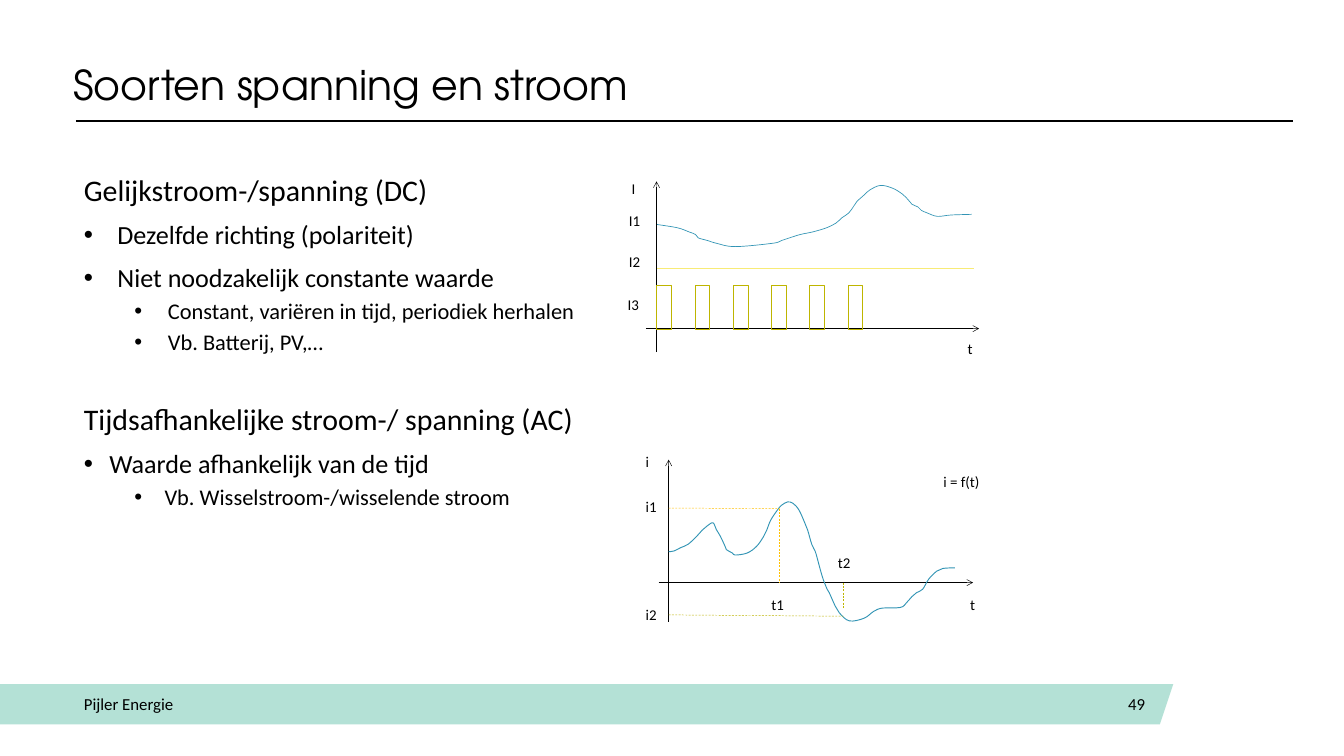
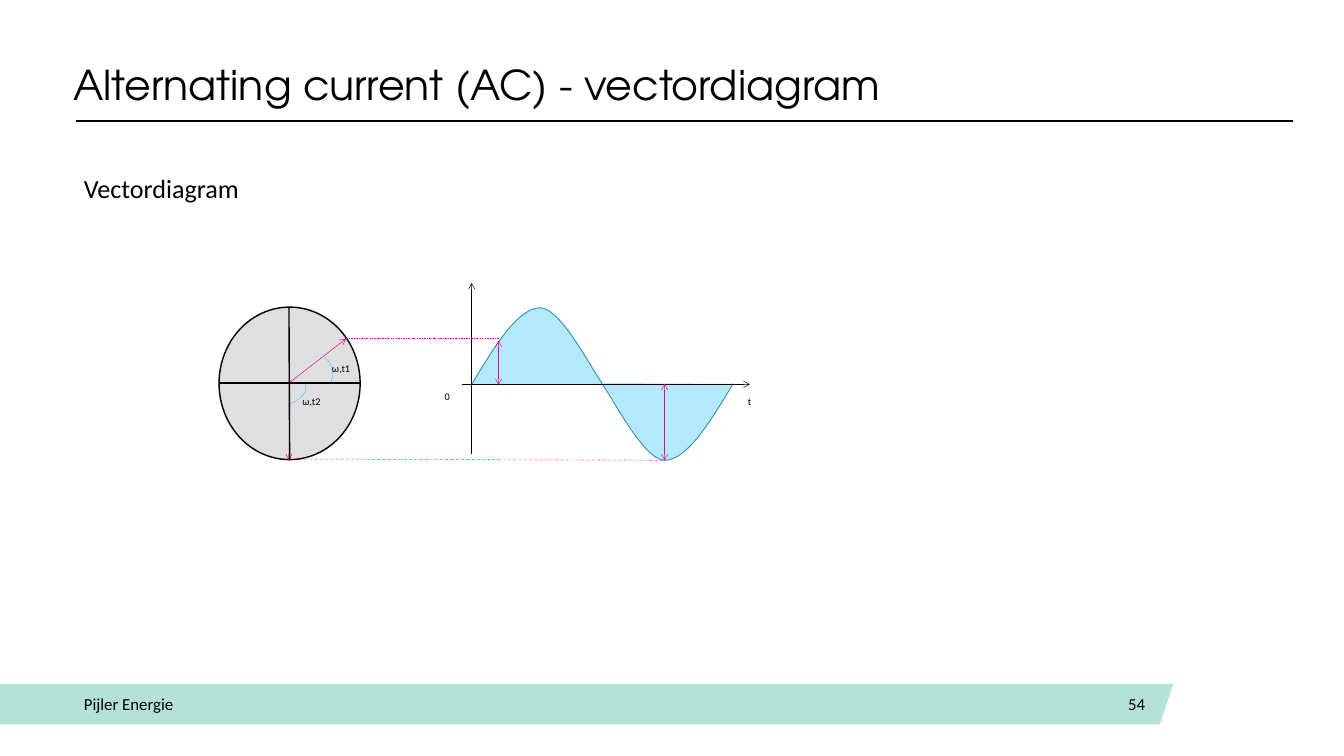
from pptx import Presentation
from pptx.dml.color import RGBColor
from pptx.enum.dml import MSO_LINE
from pptx.enum.shapes import MSO_CONNECTOR, MSO_SHAPE
from pptx.enum.text import MSO_ANCHOR, PP_ALIGN
from pptx.oxml.ns import qn
from pptx.oxml.xmlchemy import OxmlElement
from pptx.util import Emu, Inches, Pt

# Shared grid and style: 20 columns by 11.25 rows
SLIDE_W, SLIDE_H = Inches(20), Inches(11.25)
COLUMNS, ROWS = 20, 11.25
TITLE_FONT, TEXT_FONT = "TeX Gyre Adventor", "Calibri"
COLOURS = {
    "ink": "000000", "band": "B4E1D6", "curve": "3294B5", "constant": "F8EB76",
    "pulse": "BEB500", "amber": "FFC000", "disc": "DFDFDF", "vector": "ED008D",
    "angle": "44C8F5", "wave": "B4E9FB",
}
BODY_BOX = (1.15, 2.57, 18.13, 6.68)

# Measured values of the two time curves, as (column, row)
DIRECT_CURRENT = [
    (9.77, 3.34), (10.08, 3.39), (10.25, 3.45), (10.35, 3.49), (10.39, 3.54),
    (10.53, 3.58), (10.66, 3.62), (10.94, 3.67), (11.5, 3.62), (11.63, 3.58),
    (11.75, 3.54), (11.91, 3.49), (12.1, 3.45), (12.3, 3.39), (12.44, 3.32),
    (12.53, 3.24), (12.63, 3.17), (12.71, 3.06), (12.75, 3), (12.85, 2.91),
    (12.94, 2.83), (13.1, 2.76), (13.28, 2.8), (13.43, 2.89), (13.52, 2.98),
    (13.57, 3.04), (13.66, 3.08), (13.71, 3.13), (13.8, 3.17), (13.95, 3.22),
    (14.15, 3.2), (14.46, 3.19),
]
VARYING_CURRENT = [
    (9.95, 8.21), (10.03, 8.2), (10.13, 8.15), (10.24, 8.1), (10.37, 7.98),
    (10.45, 7.89), (10.52, 7.83), (10.61, 7.78), (10.66, 7.88), (10.72, 7.98),
    (10.79, 8.13), (10.81, 8.18), (10.9, 8.23), (10.94, 8.26), (11.12, 8.23),
    (11.26, 8.13), (11.36, 7.99), (11.41, 7.89), (11.47, 7.74), (11.57, 7.59),
    (11.63, 7.52), (11.72, 7.47), (11.8, 7.49), (11.89, 7.59), (11.98, 7.79),
    (12.02, 7.89), (12.08, 8.1), (12.13, 8.2), (12.16, 8.3), (12.2, 8.45),
    (12.25, 8.62), (12.31, 8.77), (12.34, 8.82), (12.43, 9.02), (12.49, 9.12),
    (12.64, 9.24), (12.86, 9.2), (13, 9.1), (13.13, 9.05), (13.4, 9.04),
    (13.49, 8.97), (13.57, 8.88), (13.64, 8.82), (13.73, 8.77), (13.82, 8.62),
    (13.94, 8.5), (14.03, 8.46), (14.21, 8.45),
]


def col(x):
    return Emu(round(SLIDE_W * x / COLUMNS))


def row(y):
    return Emu(round(SLIDE_H * y / ROWS))


def place(x, y, width, height):
    return col(x), row(y), col(width), row(height)


def colour(name):
    return RGBColor.from_string(COLOURS[name])


def paint(shape, fill=None, outline=None, width=0.5):
    shape.shadow.inherit = False
    if fill:
        shape.fill.solid()
        shape.fill.fore_color.rgb = colour(fill)
    else:
        shape.fill.background()
    if outline:
        shape.line.color.rgb = colour(outline)
        shape.line.width = Pt(width)
    else:
        shape.line.fill.background()


# Text
def add_frame(shapes, box, anchor=MSO_ANCHOR.TOP):
    frame = shapes.add_textbox(*place(*box)).text_frame
    frame.word_wrap = True
    frame.vertical_anchor = anchor
    return frame


def write(paragraph, words, size, font=TEXT_FONT, spacing=None, align=None):
    paragraph.line_spacing = spacing
    paragraph.alignment = align
    run = paragraph.add_run()
    run.text = words
    run.font.size = Pt(size)
    run.font.name = font
    run.font.color.rgb = colour("ink")


def add_bullet(paragraph, indent, hanging):
    properties = paragraph._p.get_or_add_pPr()
    properties.set("marL", str(Inches(indent)))
    properties.set("indent", str(-Inches(hanging)))
    for tag, key, value in (("a:buFont", "typeface", "Arial"), ("a:buChar", "char", "•")):
        bullet = OxmlElement(tag)
        bullet.set(key, value)
        properties.append(bullet)


def add_body(slide, lines):
    """Each line: words, size, space before, and (indent, hanging) of a bullet."""
    frame = add_frame(slide.shapes, BODY_BOX)
    for number, (words, size, before, bullet) in enumerate(lines):
        paragraph = frame.add_paragraph() if number else frame.paragraphs[0]
        if bullet:
            add_bullet(paragraph, *bullet)
        if before:
            paragraph.space_before = Pt(before)
        write(paragraph, words, size, spacing=0.9)


def add_labels(shapes, labels, size=16):
    for words, x, y in labels:
        frame = add_frame(shapes, (x, y, 1, 0.5))
        write(frame.paragraphs[0], words, size, spacing=1.15)


# Lines and outlines
def add_line(shapes, start, end, ink="ink", width=0.5, dash=None, arrows=()):
    line = shapes.add_connector(
        MSO_CONNECTOR.STRAIGHT, col(start[0]), row(start[1]), col(end[0]), row(end[1]))
    line.line.color.rgb = colour(ink)
    line.line.width = Pt(width)
    if dash:
        line.line.dash_style = dash
    for end_tag in arrows:
        arrow = OxmlElement(f"a:{end_tag}")
        arrow.set("type", "arrow")
        line.line._get_or_add_ln().append(arrow)
    line._element.spPr.append(OxmlElement("a:effectLst"))


def add_axis(shapes, start, end):
    add_line(shapes, start, end, arrows=["tailEnd"])


def add_outline(shapes, points, close=False, **style):
    (x, y), *rest = points
    builder = shapes.build_freeform(col(x), row(y))
    builder.add_line_segments([(col(px), row(py)) for px, py in rest], close=close)
    outline = builder.convert_to_shape()
    paint(outline, **style)
    return outline


def add_curve(shapes, points, **style):
    """Start point, then two control points and an end point per stretch."""
    curve = add_outline(shapes, points, **style)
    segments = list(curve._element.iter(qn("a:lnTo")))
    for stretch in zip(segments[::3], segments[1::3], segments[2::3]):
        bend = OxmlElement("a:cubicBezTo")
        stretch[0].addprevious(bend)
        for segment in stretch:
            bend.append(segment[0])
            segment.getparent().remove(segment)


def smooth(points):
    """Put control points between measured points to round the corners."""
    padded = [points[0], *points, points[-1]]
    curve = [points[0]]
    for before, a, d, after in zip(padded, padded[1:], padded[2:], padded[3:]):
        curve += [[a[i] + (d[i] - before[i]) / 6 for i in (0, 1)],
                  [d[i] - (after[i] - a[i]) / 6 for i in (0, 1)], d]
    return curve


# Title, rule and footer band of every slide
def add_page(deck, title, number):
    slide = deck.slides.add_slide(deck.slide_layouts[6])
    shapes = slide.shapes
    add_outline(shapes, [(-0.02, 10.78), (-0.02, 10.18), (17.46, 10.18), (17.26, 10.78)],
                close=True, fill="band")
    add_line(shapes, (1.13, 1.8), (19.24, 1.8), width=2.25)
    heading = add_frame(shapes, (1.09, 0.97, 18.13, 0.69))
    heading.margin_left = heading.margin_right = 0
    heading.margin_top = heading.margin_bottom = 0
    write(heading.paragraphs[0], title, 44, TITLE_FONT, 0.9)
    for words, x, width, align in (("Pijler Energie", 1.15, 4.5, PP_ALIGN.LEFT),
                                   (number, 13.02, 4.12, PP_ALIGN.RIGHT)):
        footer = add_frame(shapes, (x, 10.18, width, 0.6), MSO_ANCHOR.MIDDLE)
        write(footer.paragraphs[0], words, 18, align=align)
    return slide


# Diagrams
def draw_direct_current(shapes):
    origin_x, base_y = 9.77, 4.89
    add_curve(shapes, smooth(DIRECT_CURRENT), outline="curve", width=0.75)
    add_line(shapes, (origin_x, 3.99), (14.49, 3.99), "constant")
    add_axis(shapes, (origin_x, 5.24), (origin_x, 2.7))
    add_axis(shapes, (9.61, base_y), (14.57, base_y))
    for pulse in range(6):
        block = shapes.add_shape(
            MSO_SHAPE.RECTANGLE, *place(origin_x + 0.57 * pulse, 4.25, 0.22, 0.65))
        paint(block, outline="pulse", width=0.75)
    add_labels(shapes, [("I", 9.3, 2.59), ("I1", 9.26, 3.06), ("I2", 9.26, 3.67),
                        ("I3", 9.24, 4.31), ("t", 14.3, 4.96)])


def draw_varying_current(shapes):
    origin_x, zero_y = 9.95, 8.67
    add_axis(shapes, (origin_x, 9.25), (origin_x, 6.84))
    add_axis(shapes, (9.8, zero_y), (14.48, zero_y))
    add_curve(shapes, smooth(VARYING_CURRENT), outline="curve", width=1)
    for start, end, ink in (((origin_x, 7.56), (11.6, 7.57), "amber"),
                            ((11.6, 7.57), (11.6, zero_y), "amber"),
                            ((origin_x, 9.15), (12.55, 9.17), "pulse"),
                            ((12.55, zero_y), (12.55, 9.05), "pulse")):
        add_line(shapes, start, end, ink, dash=MSO_LINE.DASH)
    add_labels(shapes, [("i = f(t)", 13.94, 6.95), ("i", 9.51, 6.65), ("i1", 9.51, 7.31),
                        ("i2", 9.51, 8.93), ("t1", 11.38, 8.77), ("t2", 12.37, 8.15),
                        ("t", 14.34, 8.77)])


def draw_vectors(shapes):
    centre_x, centre_y = 4.3, 5.7
    disc = shapes.add_shape(MSO_SHAPE.OVAL, *place(3.26, 4.57, 2.1, 2.27))
    paint(disc, "disc", "ink", 1.5)
    for tip, start_y in (((5.15, 5.04), centre_y), ((centre_x, 6.85), 5.74)):
        add_line(shapes, (centre_x, start_y), tip, "vector", arrows=["tailEnd"])
    for x, y, turn in ((4.03, 5.49, 72.5), (4.5, 5.31, 19.7)):
        angle = shapes.add_shape(MSO_SHAPE.ARC, *place(x, y, 0.44, 0.62))
        angle.rotation = turn
        paint(angle, outline="angle")
    add_line(shapes, (5.36, centre_y), (3.26, centre_y), width=1.5)
    add_line(shapes, (centre_x, 4.57), (4.31, 6.83), width=1.5)
    add_labels(shapes, [("ω,t1", 4.84, 5.31), ("ω,t2", 4.4, 5.81)], 11)


def draw_sine(shapes):
    add_axis(shapes, (7.02, 6.76), (7.02, 4.21))
    crest = [(7.02, 5.72), (7.36, 5.15), (7.71, 4.58), (8.04, 4.58),
             (8.36, 4.59), (8.82, 5.53), (8.98, 5.73)]
    trough = [(17.93 - x, 11.43 - y) for x, y in crest]
    for half in (crest, trough):
        add_curve(shapes, half, fill="wave", outline="curve", width=1)
    add_axis(shapes, (6.88, 5.72), (11.16, 5.72))
    for start, end in (((5.14, 5.04), (7.42, 5.04)), ((4.22, 6.83), (9.89, 6.85))):
        add_line(shapes, start, end, "vector", dash=MSO_LINE.DASH_DOT)
    for start, end in (((7.42, 5.07), (7.42, 5.73)), ((9.89, 5.71), (9.89, 6.85))):
        add_line(shapes, start, end, "vector", arrows=["headEnd", "tailEnd"])
    add_labels(shapes, [("0", 6.52, 5.73), ("t", 11.03, 5.8)], 11)


def main():
    deck = Presentation()
    deck.slide_width, deck.slide_height = SLIDE_W, SLIDE_H

    # Kinds of voltage and current
    kinds = add_page(deck, "Soorten spanning en stroom", "49")
    point, detail = (0.5, 0.5), (1.25, 0.5)
    add_body(kinds, [
        ("Gelijkstroom-/spanning (DC)", 32, 0, None),
        ("Dezelfde richting (polariteit)", 28, 15, point),
        ("Niet noodzakelijk constante waarde", 28, 15, point),
        ("Constant, variëren in tijd, periodiek herhalen", 24, 7.5, detail),
        ("Vb. Batterij, PV,…", 24, 7.5, detail),
        ("Tijdsafhankelijke stroom-/ spanning (AC)", 32, 53, None),
        ("Waarde afhankelijk van de tijd", 28, 15, (0.38, 0.38)),
        ("Vb. Wisselstroom-/wisselende stroom", 24, 7.5, (1.2, 0.45)),
    ])
    draw_direct_current(kinds.shapes.add_group_shape().shapes)
    draw_varying_current(kinds.shapes.add_group_shape().shapes)

    # Vector diagram
    vectors = add_page(deck, "Alternating current (AC) - vectordiagram", "54")
    add_body(vectors, [("Vectordiagram", 28, 0, None)])
    diagram = vectors.shapes.add_group_shape().shapes
    draw_vectors(diagram)
    draw_sine(diagram)

    deck.save("out.pptx")


if __name__ == "__main__":
    main()
